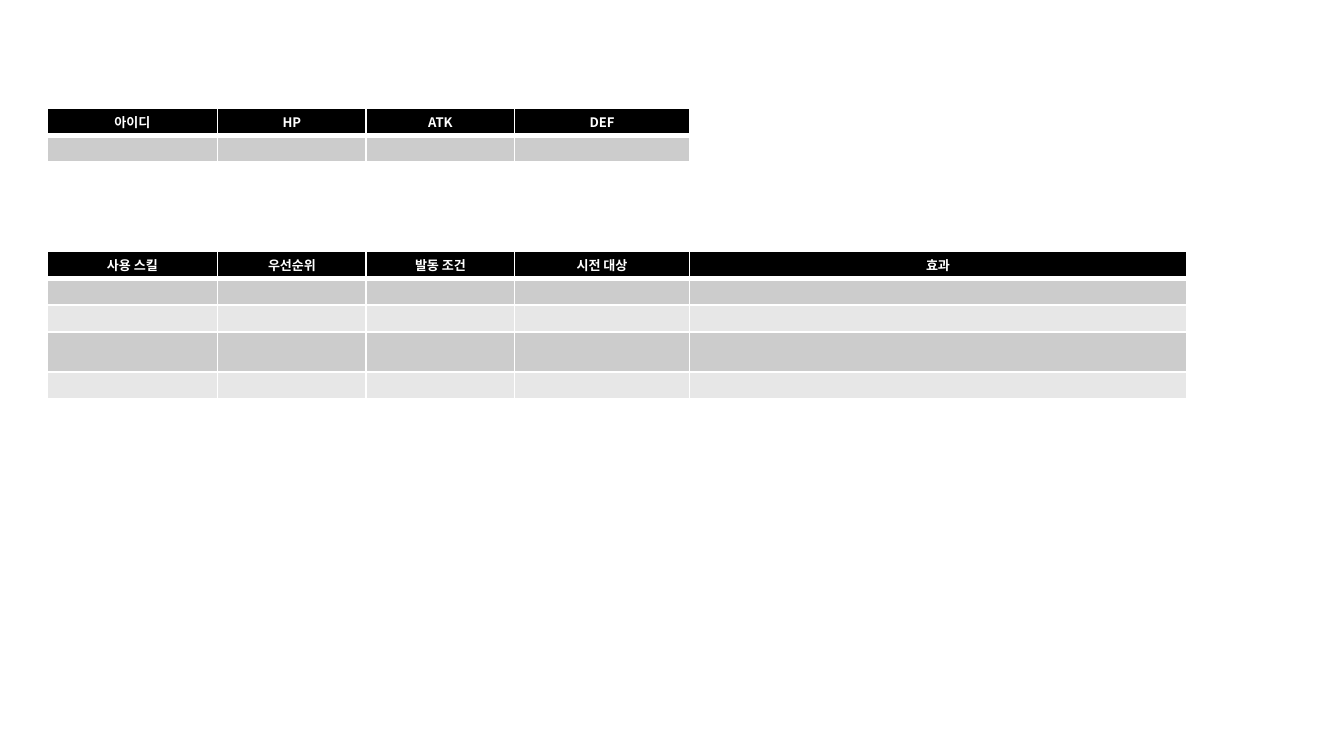
from dataclasses import dataclass

from lxml import etree
from pptx import Presentation
from pptx.dml.color import RGBColor
from pptx.enum.text import PP_ALIGN
from pptx.oxml.ns import qn
from pptx.util import Inches, Pt

CENTER = PP_ALIGN.CENTER


@dataclass(frozen=True)
class Theme:
    font: str = "Noto Sans CJK KR"
    size: float = 7
    header: str = "000000"
    header_text: str = "FFFFFF"
    bands: tuple = ("CCCCCC", "E7E7E7")
    border: str = "FFFFFF"
    thin: float = 1
    thick: float = 3


@dataclass(frozen=True)
class Box:
    left: float
    top: float
    columns: tuple
    rows: tuple


THEME = Theme()
SLIDE_WIDTH = Inches(10)
SLIDE_HEIGHT = SLIDE_WIDTH * 9 // 16
STAT_COLUMNS = (12.7, 11.05, 11.05, 13)
SKILL_COLUMNS = STAT_COLUMNS + (37,)
STAT_BOX = Box(3.5, 8.05, STAT_COLUMNS, (1.8, 2))
SKILL_BOX = Box(3.5, 18.7, SKILL_COLUMNS, (1.8, 2, 2, 2.95, 2))


def grid(units):
    return int(SLIDE_WIDTH * units / 100)


def write(para, text, *, size, color, bold=False, align=CENTER):
    para.alignment = align
    if text:
        span = para.add_run()
        span.text = text
        span.font.size = Pt(size)
        span.font.bold = bold
        span.font.color.rgb = RGBColor.from_string(color)
        span.font.name = THEME.font
        properties = span.font._element
    else:
        properties = etree.SubElement(para._p, qn("a:endParaRPr"), sz=str(int(size * 100)))
        etree.SubElement(properties, qn("a:latin"), typeface=THEME.font)
    etree.SubElement(properties, qn("a:ea"), typeface=THEME.font)


def set_borders(cell, top, bottom):
    properties = cell._tc.get_or_add_tcPr()
    widths = {"lnL": THEME.thin, "lnR": THEME.thin, "lnT": top, "lnB": bottom}
    for position, (side, width) in enumerate(widths.items()):
        line = etree.Element(qn(f"a:{side}"), w=str(Pt(width)))
        fill = etree.SubElement(line, qn("a:solidFill"))
        etree.SubElement(fill, qn("a:srgbClr"), val=THEME.border)
        properties.insert(position, line)


def style_cell(cell, row, text):
    header = row == 0
    fill = THEME.header if header else THEME.bands[(row - 1) % len(THEME.bands)]
    cell.fill.solid()
    cell.fill.fore_color.rgb = RGBColor.from_string(fill)
    cell.margin_left = cell.margin_right = Inches(0.1)
    cell.margin_top = cell.margin_bottom = Inches(0.03)
    set_borders(
        cell,
        top=THEME.thick if row == 1 else THEME.thin,
        bottom=THEME.thick if header else THEME.thin,
    )
    write(
        cell.text_frame.paragraphs[0],
        text,
        size=THEME.size,
        color=THEME.header_text,
        bold=header,
    )


def add_grid_table(page, box, headings):
    table = page.shapes.add_table(
        len(box.rows),
        len(box.columns),
        grid(box.left),
        grid(box.top),
        grid(sum(box.columns)),
        grid(sum(box.rows)),
    ).table
    table.horz_banding = False
    for column, width in zip(table.columns, box.columns):
        column.width = grid(width)
    for index, height in enumerate(box.rows):
        table.rows[index].height = grid(height)
        for column, heading in enumerate(headings):
            style_cell(table.cell(index, column), index, "" if index else heading)


def main():
    deck = Presentation()
    deck.slide_width = SLIDE_WIDTH
    deck.slide_height = SLIDE_HEIGHT
    page = deck.slides.add_slide(deck.slide_layouts[6])
    add_grid_table(page, SKILL_BOX, ("사용 스킬", "우선순위", "발동 조건", "시전 대상", "효과"))
    add_grid_table(page, STAT_BOX, ("아이디", "HP", "ATK", "DEF"))
    deck.save("out.pptx")


if __name__ == "__main__":
    main()
